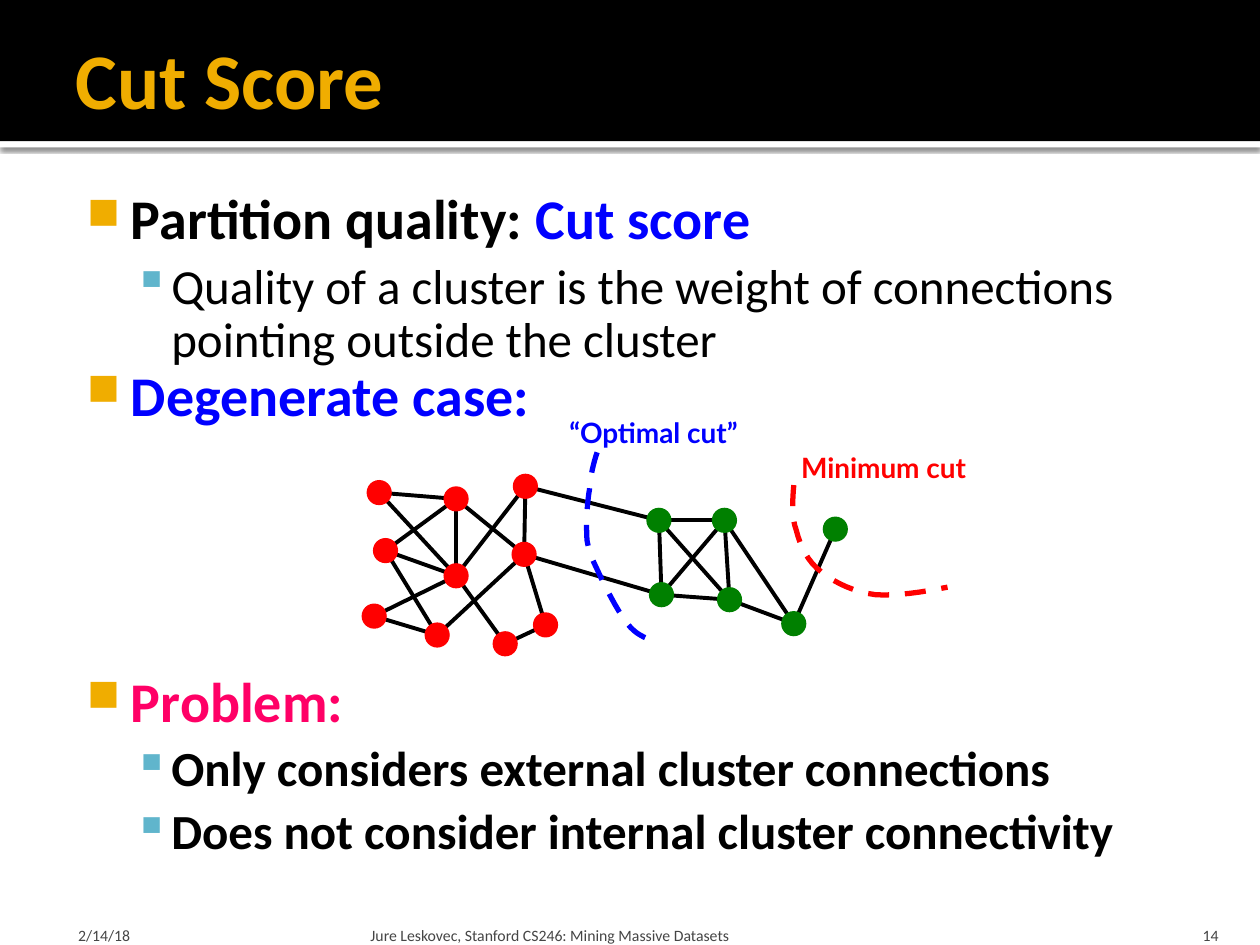
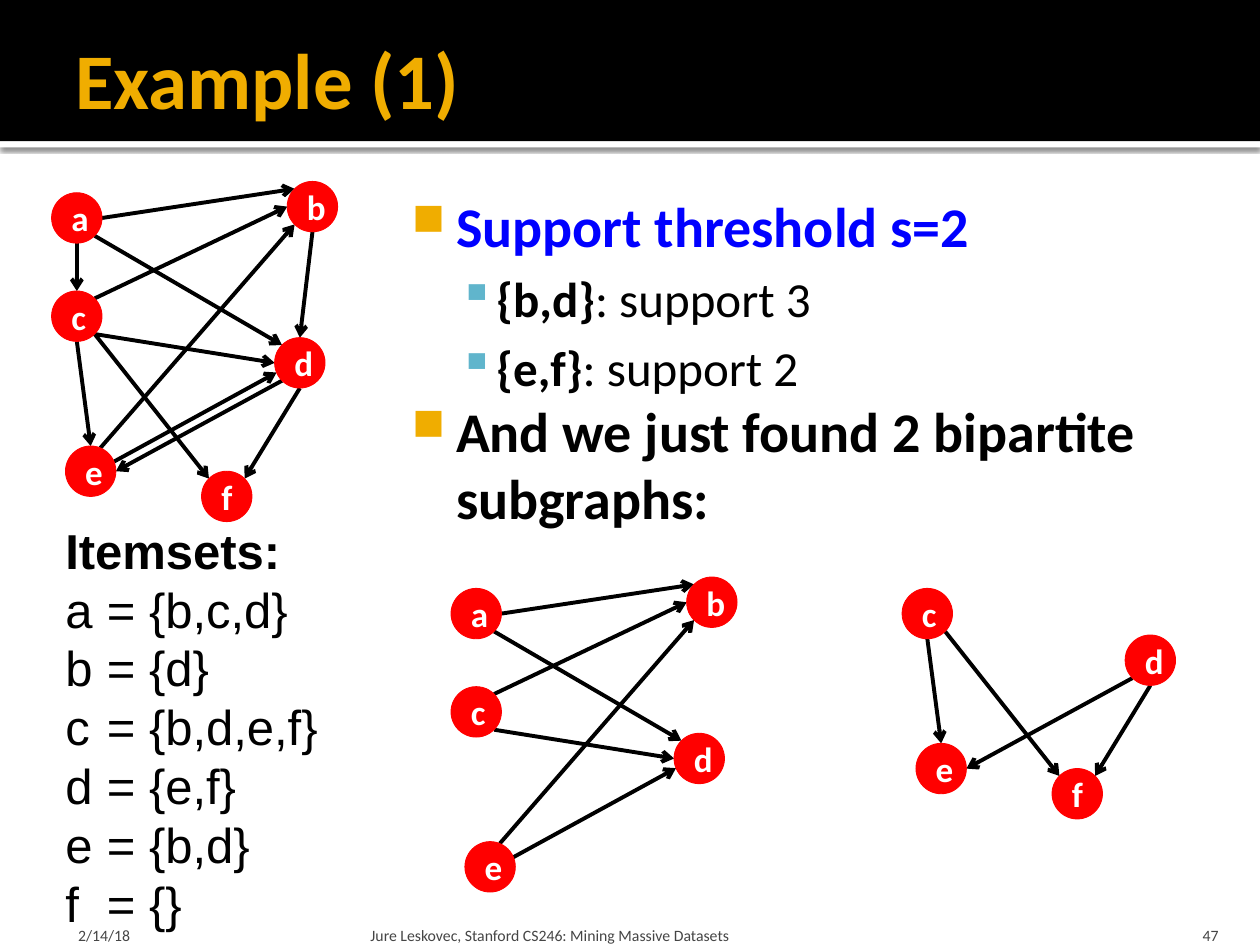
from math import atan2, cos, radians, sin

from lxml import etree
from pptx import Presentation, util as u
from pptx.dml import color as c
from pptx.enum import dml, shapes, text
from pptx.oxml import ns

COLUMNS, ROWS = 10, 7.5
BLACK, WHITE, GREY = "000000", "FFFFFF", "454545"
GOLD, SKY, BLUE, PINK = "F0AD00", "60B5CC", "0000FF", "FF0066"
RED, GREEN = "FF0000", "008000"
LEFT, RIGHT, CENTER = text.PP_ALIGN.LEFT, text.PP_ALIGN.RIGHT, text.PP_ALIGN.CENTER
TOP, MIDDLE, BOTTOM = text.MSO_ANCHOR.TOP, text.MSO_ANCHOR.MIDDLE, text.MSO_ANCHOR.BOTTOM
COMPASS = "E ENE NE NNE N NNW NW WNW W WSW SW SSW S SSE SE ESE".split()
BULLETS = [
    {"margin": 0.48, "hang": 0.35, "char": "■", "color": GOLD, "percent": 80, "size": 32, "before": 0},
    {"margin": 0.8, "hang": 0.3, "char": "▪", "color": SKY, "percent": 100, "size": 28, "before": 5.6},
]


def rgb(value):
    return c.RGBColor.from_string(value)


def add_xml(parent, tag, **attributes):
    values = {name: str(value) for name, value in attributes.items()}
    return etree.SubElement(parent, ns.qn("a:" + tag), values)


def bezier(start, controls, steps=8):
    points = [start]
    for first, second, end in zip(*[iter(controls)] * 3):
        begin = points[-1]
        for step in range(1, steps + 1):
            t = step / steps
            weights = (1 - t) ** 3, 3 * t * (1 - t) ** 2, 3 * t * t * (1 - t), t ** 3
            corners = begin, first, second, end
            points.append(tuple(sum(w * p[axis] for w, p in zip(weights, corners)) for axis in (0, 1)))
    return points


class Deck:
    font = "Calibri"

    def __init__(self):
        self.presentation = Presentation()
        self.presentation.slide_width = u.Inches(10)
        self.presentation.slide_height = u.Inches(7.5)
        self.column = self.presentation.slide_width / COLUMNS
        self.row = self.presentation.slide_height / ROWS
        self.slide = None

    def grid(self, *lengths):
        return [round(length * (self.row if index % 2 else self.column))
                for index, length in enumerate(lengths)]

    def new_slide(self, title, number):
        self.slide = self.presentation.slides.add_slide(self.presentation.slide_layouts[6])
        edge = self.shape((0, 1.12, COLUMNS, 0.05), WHITE, shapes.MSO_SHAPE.RECTANGLE)
        self.band_shadow(edge)
        self.shape((0, 0, COLUMNS, 1.12), BLACK, shapes.MSO_SHAPE.RECTANGLE)
        self.text((0.5, 0.08, 9, 1.08), [title], 45, GOLD, True, anchor=MIDDLE,
                  insets=(0.1, 0.05, 0.05, 0.05))
        footers = [
            ((0.5, 7.2, 2.33, 0.3), "2/14/18", LEFT, 0.12, 0.05),
            ((2.89, 7.2, 6.02, 0.3), "Jure Leskovec, Stanford CS246: Mining Massive Datasets", LEFT, 0.05, 0.05),
            ((8.97, 7.2, 0.8, 0.3), str(number), RIGHT, 0.1, 0.1),
        ]
        for box, words, align, left, right in footers:
            self.text(box, [words], 9, GREY, align=align, anchor=BOTTOM, insets=(left, 0.05, right, 0))

    def band_shadow(self, shape):
        effects = shape._element.spPr.find(ns.qn("a:effectLst"))
        shadow = add_xml(effects, "outerShdw", blurRad=u.Pt(2.5), dist=u.Pt(0.8), dir=90 * 60000,
                         algn="t", rotWithShape=0)
        add_xml(add_xml(shadow, "srgbClr", val=BLACK), "alpha", val=60000)

    def shape(self, box, fill, kind=shapes.MSO_SHAPE.OVAL, outline=None):
        shape = self.slide.shapes.add_shape(kind, *self.grid(*box))
        shape.shadow.inherit = False
        shape.fill.solid()
        shape.fill.fore_color.rgb = rgb(fill)
        if outline:
            shape.line.color.rgb = rgb(fill)
            shape.line.width = u.Pt(outline)
        else:
            shape.line.fill.background()
        return shape

    def frame(self, box, anchor, insets):
        frame = self.slide.shapes.add_textbox(*self.grid(*box)).text_frame
        frame.word_wrap = True
        frame.vertical_anchor = anchor
        frame.margin_left, frame.margin_top, frame.margin_right, frame.margin_bottom = self.grid(*insets)
        return frame

    def paragraphs(self, frame, count):
        return [frame.paragraphs[0]] + [frame.add_paragraph() for _ in range(count - 1)]

    def style(self, paragraph, size, color, bold=False, font=None):
        paragraph.font.name = font or self.font
        paragraph.font.size = u.Pt(size)
        paragraph.font.bold = bold
        paragraph.font.color.rgb = rgb(color)

    def text(self, box, lines, size, color, bold=False, font=None, align=LEFT, anchor=TOP,
             insets=(0.1, 0.05, 0.1, 0.05), tab=None):
        frame = self.frame(box, anchor, insets)
        paragraphs = self.paragraphs(frame, len(lines))
        for paragraph, line in zip(paragraphs, lines):
            paragraph.text = line
            paragraph.alignment = align
            if tab:
                tabs = add_xml(paragraph._p.get_or_add_pPr(), "tabLst")
                add_xml(tabs, "tab", pos=self.grid(tab)[0], algn="l")
            self.style(paragraph, size, color, bold, font)
        return paragraphs

    def body(self, box, items, spacing):
        frame = self.frame(box, TOP, (0.06, 0.1, 0.1, 0.05))
        for paragraph, (level, runs, *gap) in zip(self.paragraphs(frame, len(items)), items):
            bullet = BULLETS[level]
            margin, hang = (self.grid(bullet[key])[0] for key in ("margin", "hang"))
            properties = paragraph._p.get_or_add_pPr()
            properties.set("marL", str(margin))
            properties.set("indent", str(-hang))
            add_xml(add_xml(properties, "buClr"), "srgbClr", val=bullet["color"])
            add_xml(properties, "buSzPct", val=bullet["percent"] * 1000)
            add_xml(properties, "buChar", char=bullet["char"])
            paragraph.level = level
            paragraph.line_spacing = spacing
            paragraph.space_before = u.Pt(gap[0] if gap else bullet["before"])
            self.style(paragraph, bullet["size"], runs[0][1], runs[0][2])
            for words, color, bold in runs:
                run = paragraph.add_run()
                run.text = words
                if len(runs) > 1:
                    run.font.color.rgb = rgb(color)
                    run.font.bold = bold

    def line(self, start, end, arrow=False):
        connector = self.slide.shapes.add_connector(
            shapes.MSO_CONNECTOR.STRAIGHT, *self.grid(*start, *end))
        connector.line.color.rgb = rgb(BLACK)
        connector.line.width = u.Pt(2.25)
        properties = connector._element.spPr
        if arrow:
            add_xml(properties.find(ns.qn("a:ln")), "tailEnd", type="arrow")
        add_xml(properties, "effectLst")

    def curve(self, start, controls, color):
        first, *rest = [self.grid(*point) for point in bezier(start, controls)]
        builder = self.slide.shapes.build_freeform(*first)
        builder.add_line_segments(rest, close=False)
        shape = builder.convert_to_shape()
        shape.shadow.inherit = False
        shape.fill.background()
        shape.line.color.rgb = rgb(color)
        shape.line.width = u.Pt(3)
        shape.line.dash_style = dml.MSO_LINE.DASH

    def node(self, center, radius, color, label=None):
        x, y = center
        box = (x - radius, y - radius, 2 * radius, 2 * radius)
        shape = self.shape(box, color, outline=0.5 if label else None)
        if label:
            shape.text_frame.vertical_anchor = MIDDLE
            paragraph = shape.text_frame.paragraphs[0]
            paragraph.text = label
            paragraph.alignment = CENTER
            self.style(paragraph, 20, WHITE, True)

    def directed_graph(self, centers, edges, shift=(0, 0), radius=0.2):
        moved = {name: (x + shift[0], y + shift[1]) for name, (x, y) in centers.items()}

        def rim(name, direction):
            angle = radians(22.5 * COMPASS.index(direction))
            x, y = moved[name]
            return x + radius * cos(angle), y - radius * sin(angle)

        for (source, target), (leaving, entering) in edges.items():
            self.line(rim(source, leaving), rim(target, entering), arrow=True)
        for name in sorted(set("".join(edges))):
            self.node(moved[name], radius, RED, name)


def cut_score(deck):
    deck.new_slide("Cut Score", 14)
    deck.body((0.5, 1.42, 9, 6), [
        (0, [("Partition quality: ", BLACK, True), ("Cut score", BLUE, True)]),
        (1, [("Quality of a cluster is the weight of connections pointing outside the cluster", BLACK, False)]),
        (0, [("Degenerate case:", BLUE, True)]),
        (0, [("Problem:", PINK, True)], 140.6),
        (1, [("Only considers external cluster connections", BLACK, True)]),
        (1, [("Does not consider internal cluster connectivity", BLACK, True)]),
    ], 0.9)
    left_cluster = {
        "a": (3.01, 3.91), "b": (3.62, 3.96), "c": (4.17, 3.86), "d": (3.06, 4.37), "e": (3.62, 4.57),
        "f": (4.16, 4.4), "g": (2.97, 4.89), "h": (3.47, 5.04), "i": (4.01, 5.11), "j": (4.33, 4.96),
    }
    right_cluster = {
        "p": (5.23, 4.13), "q": (5.75, 4.13), "r": (5.25, 4.72),
        "s": (5.79, 4.76), "t": (6.3, 4.95), "u": (6.63, 4.2),
    }
    nodes = {**left_cluster, **right_cluster}
    inner_left = "ab ae bd be bf ce cf de dh eg ei fh fj gh ij"
    inner_right = "pq pr ps qr qs qt rs st tu"
    for start, end in f"{inner_left} {inner_right} cp fr".split():
        deck.line(nodes[start], nodes[end])
    for name, center in nodes.items():
        deck.node(center, 0.1, RED if name in left_cluster else GREEN)
    deck.curve((6.3, 3.85), [
        (6.29, 3.97), (6.28, 4.1), (6.32, 4.21), (6.35, 4.33), (6.41, 4.46), (6.52, 4.54),
        (6.63, 4.63), (6.79, 4.7), (6.95, 4.72), (7.12, 4.73), (7.32, 4.7), (7.52, 4.66)], RED)
    deck.curve((4.74, 3.59), [
        (4.71, 3.68), (4.69, 3.76), (4.68, 3.88), (4.66, 3.99), (4.65, 4.18), (4.66, 4.29),
        (4.68, 4.4), (4.69, 4.41), (4.74, 4.52), (4.79, 4.63), (4.9, 4.85), (4.98, 4.95),
        (5.05, 5.04), (5.12, 5.06), (5.19, 5.09)], BLUE)
    deck.text((4.42, 3.25, 1.74, 0.37), ["“Optimal cut”"], 16, BLUE, True, "Lato")
    deck.text((6.26, 3.53, 1.66, 0.37), ["Minimum cut"], 16, RED, True, "Lato")


def bipartite_example(deck):
    deck.new_slide("Example (1)", 47)
    deck.body((3.08, 1.42, 6.83, 5.75), [
        (0, [("Support threshold s=2", BLUE, True)]),
        (1, [("{b,d}", BLACK, True), (": support 3", BLACK, False)]),
        (1, [("{e,f}", BLACK, True), (": support 2", BLACK, False)]),
        (0, [("And we just found 2 bipartite subgraphs:", BLACK, True)]),
    ], 1.0)
    centers = {"a": (0.61, 1.73), "b": (2.48, 1.64), "c": (0.61, 2.51),
               "d": (2.38, 2.88), "e": (0.72, 3.74), "f": (1.8, 3.94)}
    into_b_and_d = {"ab": ("E", "NW"), "ad": ("SE", "NW"), "cb": ("NE", "W"), "cd": ("SE", "W"),
                    "eb": ("NNE", "SW"), "ed": ("ENE", "WSW")}
    into_e_and_f = {"ce": ("S", "N"), "cf": ("SE", "NW"), "de": ("SW", "E"), "df": ("S", "NE")}
    every_edge = {**into_b_and_d, **into_e_and_f, "ac": ("S", "N"), "bd": ("S", "N")}
    deck.directed_graph(centers, every_edge)
    deck.directed_graph(centers, into_b_and_d, (2.97 + 0.2, 3.14))
    deck.directed_graph(centers, into_e_and_f, (6.75, 2.36))
    itemsets = [f"{name}\t= {{{','.join(sorted(edge[1] for edge in every_edge if edge[0] == name))}}}"
                for name in centers]
    heading, *_ = deck.text((0.42, 4.08, 2.4, 3.4), ["Itemsets:"] + itemsets, 28, BLACK,
                            font="Arial", tab=0.33)
    heading.font.bold = True


def main():
    deck = Deck()
    cut_score(deck)
    bipartite_example(deck)
    deck.presentation.save("out.pptx")


if __name__ == "__main__":
    main()
